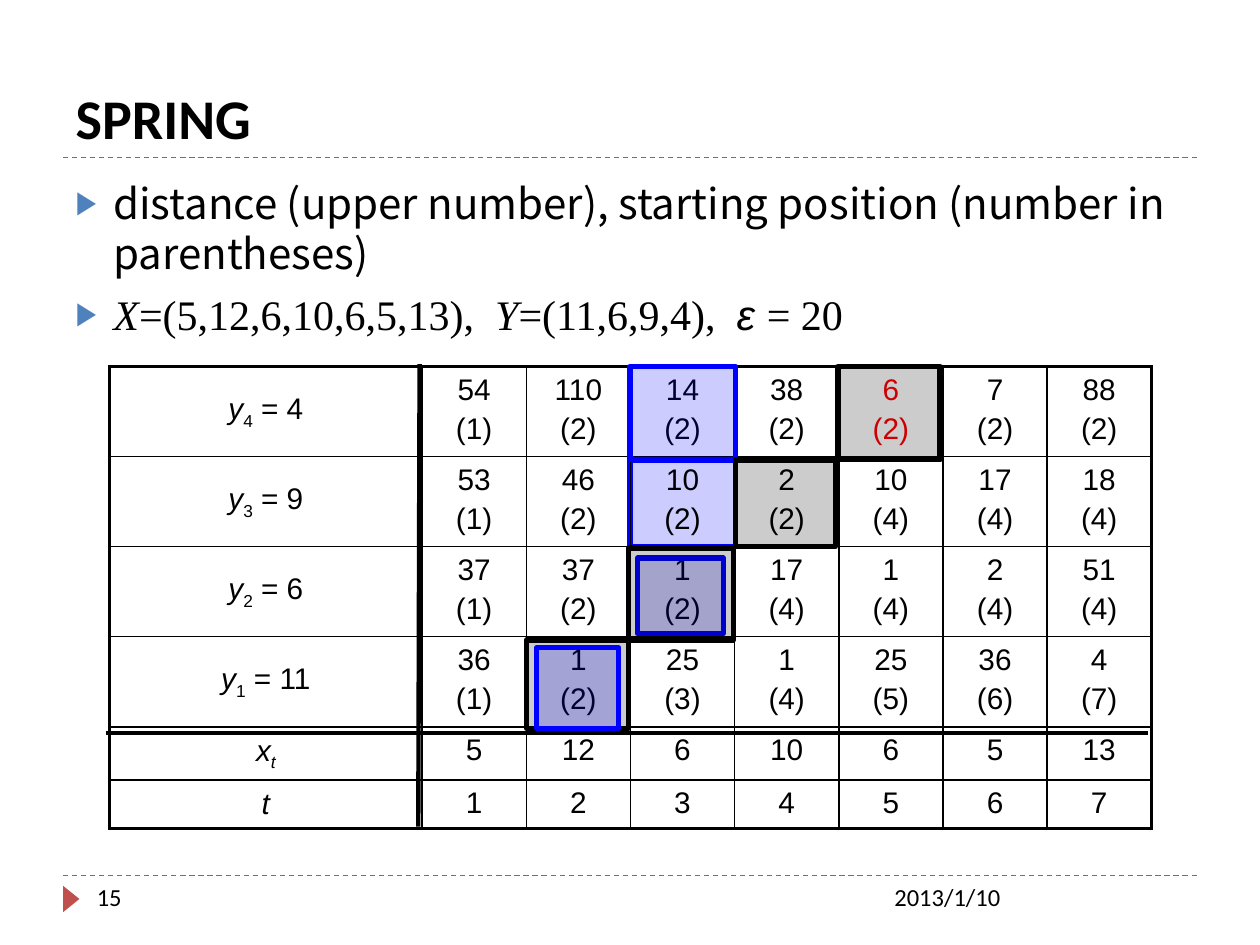
import pptx
import pptx.util
import pptx.dml.color
import pptx.enum.dml
import pptx.enum.shapes
import pptx.enum.text
import pptx.oxml
import pptx.oxml.ns
from lxml import etree

Inches, Pt = pptx.util.Inches, pptx.util.Pt
ALIGN, ANCHOR = pptx.enum.text.PP_ALIGN, pptx.enum.text.MSO_ANCHOR
SHAPE = pptx.enum.shapes.MSO_SHAPE
qn = pptx.oxml.ns.qn

COLORS = {"black": "000000", "blue": "0000FF", "red": "FF0000",
          "accent": "C0504D", "bullet": "4F81BD"}

TITLE = "SPRING"
SERIF, SANS, CJK = "Times New Roman", "Arial", "Noto Sans CJK SC"
# Each run: text, font, italic, extra letter spacing in points
BULLETS = [
    [("distance (upper number), starting position (number in parentheses)", CJK, False, 0)],
    [("X", SERIF, True, 0), ("=(5,12,6,10,6,5,13),", SERIF, False, 0), (" ", SERIF, False, 6),
     ("Y", SERIF, True, 0), ("=(11,6,9,4),", SERIF, False, 0), (" ", SERIF, False, 6),
     ("ε ", SANS, True, 0), ("= 20", SERIF, False, 0)],
]
FOOTER = [("2013/1/10", 7, 2.5), ("15", 0.67, 2.17)]  # text, left, width

# Row label (symbol, subscript, rest), then (distance, start) pairs
DISTANCES = [
    (("y", "4", " = 4"), [(54, 1), (110, 2), (14, 2), (38, 2), (6, 2), (7, 2), (88, 2)]),
    (("y", "3", " = 9"), [(53, 1), (46, 2), (10, 2), (2, 2), (10, 4), (17, 4), (18, 4)]),
    (("y", "2", " = 6"), [(37, 1), (37, 2), (1, 2), (17, 4), (1, 4), (2, 4), (51, 4)]),
    (("y", "1", " = 11"), [(36, 1), (1, 2), (25, 3), (1, 4), (25, 5), (36, 6), (4, 7)]),
]
STREAM = [5, 12, 6, 10, 6, 5, 13]
MATCH_END = (0, 5)  # row, column of the reported match

# colour, left, top, width, height
MARKS_BELOW = [("black", 4.18, 5.08, 0.81, 0.70), ("blue", 5.00, 3.65, 0.84, 0.69)]
MARKS_ABOVE = [
    ("blue", 5.00, 2.91, 0.84, 0.74), ("blue", 5.06, 4.43, 0.68, 0.60),
    ("blue", 4.26, 5.14, 0.65, 0.64), ("black", 4.99, 4.35, 0.83, 0.73),
    ("black", 5.84, 3.65, 0.79, 0.69), ("black", 6.65, 2.91, 0.81, 0.74),
]


def rgb(name):
    return pptx.dml.color.RGBColor.from_string(COLORS[name])


def add_run(p, text, size, font, color="black", italic=False, bold=False):
    r = p.add_run()
    r.text = text
    f = r.font
    f.size, f.name, f.italic, f.bold = Pt(size), font, italic, bold
    f.color.rgb = rgb(color)
    rPr = r._r.get_or_add_rPr()
    etree.SubElement(rPr, qn("a:ea")).set("typeface", font)
    return rPr


def add_line(s, x1, y1, x2, y2, color, width, dashed=False):
    line = s.shapes.add_connector(pptx.enum.shapes.MSO_CONNECTOR.STRAIGHT,
                                  Inches(x1), Inches(y1), Inches(x2), Inches(y2))
    line.line.color.rgb = rgb(color)
    line.line.width = Pt(width)
    if dashed:
        line.line.dash_style = pptx.enum.dml.MSO_LINE.DASH
    etree.SubElement(line._element.spPr, qn("a:effectLst"))


def add_solid(s, kind, color, x, y, w, h):
    sp = s.shapes.add_shape(kind, Inches(x), Inches(y), Inches(w), Inches(h))
    sp.shadow.inherit = False
    sp.fill.solid()
    sp.fill.fore_color.rgb = rgb(color)
    return sp


def add_marks(s, marks):
    """Translucent frames over the cells of a warping path."""
    for color, *box in marks:
        sp = add_solid(s, SHAPE.RECTANGLE, color, *box)
        srgb = sp._element.spPr.find(qn("a:solidFill")).find(qn("a:srgbClr"))
        etree.SubElement(srgb, qn("a:alpha")).set("val", "20000")
        sp.line.color.rgb = rgb(color)
        sp.line.width = Pt(3)


def place(sp, x, y, w, h):
    sp.left, sp.top, sp.width, sp.height = map(Inches, (x, y, w, h))


def add_bullets(tf):
    tf.auto_size = pptx.enum.text.MSO_AUTO_SIZE.NONE
    for i, runs in enumerate(BULLETS):
        p = tf.paragraphs[0] if i == 0 else tf.add_paragraph()
        pPr = p._p.get_or_add_pPr()
        pPr.set("marL", str(Inches(0.3)))
        pPr.set("indent", str(-Inches(0.3)))
        p.space_before = Pt(6 if i else 0)
        if i == 0:
            p.line_spacing = Pt(28.6)
        color = etree.SubElement(pPr, qn("a:buClr"))
        etree.SubElement(color, qn("a:srgbClr")).set("val", COLORS["bullet"])
        etree.SubElement(pPr, qn("a:buSzPct")).set("val", "76000")
        etree.SubElement(pPr, qn("a:buFont")).set("typeface", SANS)
        etree.SubElement(pPr, qn("a:buChar")).set("char", "▶")
        for text, font, italic, spacing in runs:
            rPr = add_run(p, text, 24, font, italic=italic)
            if spacing:
                rPr.set("spc", str(spacing * 100))


def set_borders(cell, edges):
    """edges: line widths in points for left, right, top, bottom."""
    tcPr = cell._tc.get_or_add_tcPr()
    for i, (side, width) in enumerate(zip("LRTB", edges)):
        ln = etree.Element(qn(f"a:ln{side}"), w=str(Pt(width)))
        fill = etree.SubElement(ln, qn("a:solidFill"))
        etree.SubElement(fill, qn("a:srgbClr")).set("val", COLORS["black"])
        tcPr.insert(i, ln)


def fill_label(cell, symbol, sub="", rest=""):
    cell.vertical_anchor = ANCHOR.MIDDLE
    p = cell.text_frame.paragraphs[0]
    p.alignment = ALIGN.CENTER
    add_run(p, symbol, 17, SANS, italic=True)
    if sub:
        add_run(p, sub, 17, SANS, italic=not sub.isdigit()).set("baseline", "-25000")
    if rest:
        add_run(p, rest, 17, SANS)


def fill_values(cell, lines, color):
    tf = cell.text_frame
    for i, text in enumerate(lines):
        p = tf.paragraphs[0] if i == 0 else tf.add_paragraph()
        p.alignment = ALIGN.CENTER
        p.space_before = Pt(3.4 if i else 0)
        add_run(p, text, 17, SANS, color)


def add_matrix(s):
    rows = [(label, [(str(d), f"({t})") for d, t in cells]) for label, cells in DISTANCES]
    rows.append((("x", "t"), [(str(x),) for x in STREAM]))
    rows.append((("t",), [(str(t + 1),) for t in range(len(STREAM))]))
    n_rows, n_cols = len(rows), len(STREAM) + 1
    table = s.shapes.add_table(n_rows, n_cols, Inches(0.87), Inches(2.91),
                               Inches(8.27), Inches(3.58)).table
    table.first_row = table.horz_banding = False
    for c, col in enumerate(table.columns):
        col.width = Inches(5.79 / len(STREAM) if c else 2.48)
    for r, (label, values) in enumerate(rows):
        table.rows[r].height = Inches(0.71 if r < len(DISTANCES) else 0.37)
        for c in range(n_cols):
            cell = table.cell(r, c)
            cell.fill.background()
            outer = (c == 0, c == n_cols - 1, r == 0, r == n_rows - 1)
            set_borders(cell, [2.25 if edge else 1 for edge in outer])
            if c == 0:
                fill_label(cell, *label)
            else:
                fill_values(cell, values[c - 1], "red" if (r, c) == MATCH_END else "black")


def main():
    prs = pptx.Presentation()
    prs.slide_width, prs.slide_height = Inches(10), Inches(7.5)
    s = prs.slides.add_slide(prs.slide_layouts[1])
    title, body = s.placeholders

    for y in (6.95, 1.25):
        add_line(s, 0.5, y, 9.5, y, "accent", 0.75, dashed=True)
    arrow = add_solid(s, SHAPE.ISOSCELES_TRIANGLE, "accent", 0.46, 7.07, 0.21, 0.13)
    arrow.rotation = 90
    arrow.line.fill.background()

    place(title, 0.5, 0.17, 9, 1.08)
    title.text_frame.vertical_anchor = ANCHOR.BOTTOM
    p = title.text_frame.paragraphs[0]
    p.alignment = ALIGN.LEFT
    add_run(p, TITLE, 32, "Calibri", bold=True)

    for text, x, w in FOOTER:
        tf = s.shapes.add_textbox(Inches(x), Inches(6.95), Inches(w), Inches(0.4)).text_frame
        tf.word_wrap = True
        add_run(tf.paragraphs[0], text, 14, "Calibri")

    place(body, 0.5, 1.36, 9, 5.4)
    add_bullets(body.text_frame)

    add_marks(s, MARKS_BELOW)
    add_line(s, 3.33, 2.89, 3.32, 6.56, "black", 2.5)
    add_line(s, 0.84, 5.82, 9.11, 5.82, "black", 2.5)
    add_matrix(s)
    add_marks(s, MARKS_ABOVE)
    prs.save("out.pptx")


if __name__ == "__main__":
    main()
